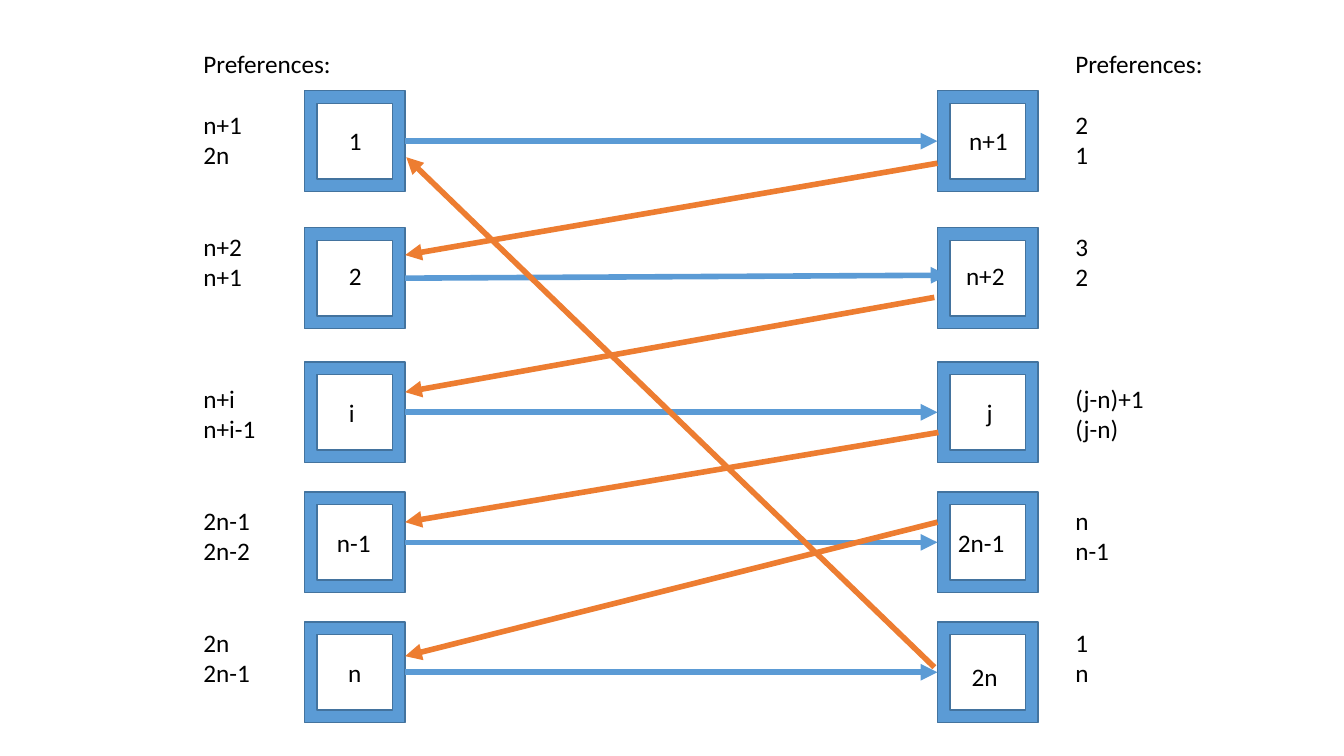
from lxml.etree import SubElement
from pptx import Presentation
from pptx.dml.color import RGBColor
from pptx.enum.shapes import MSO_CONNECTOR, MSO_SHAPE
from pptx.enum.text import MSO_AUTO_SIZE, PP_ALIGN
from pptx.oxml.ns import qn
from pptx.util import Pt

BLUE, EDGE, ORANGE, BLACK = "5B9BD5", "43739E", "ED7D31", "000000"
FRAME_SIZE = 72
LINE_PITCH = 21.9
LABEL_WIDTH, LABEL_HEIGHT = 50, 29
FRAME_TOPS = [64.8, 162.7, 258.5, 351.4, 444.2]

# Per side: frame left, preferences left, (label, centre x, top) from top to bottom
LEFT_SIDE = {
    "frame_left": 217.4,
    "preferences_left": 138.2,
    "labels": [("1", 253.8, 85.7), ("2", 253.8, 182.2), ("i", 251.3, 280.1),
               ("n-1", 252.7, 373), ("n", 253.4, 465.8)],
    "preferences": [("n+1", "2n"), ("n+2", "n+1"), ("n+i", "n+i-1"),
                    ("2n-1", "2n-2"), ("2n", "2n-1")],
}
RIGHT_SIDE = {
    "frame_left": 669.6,
    "preferences_left": 761,
    "labels": [("n+1", 706, 85.7), ("n+2", 703.8, 182.2), ("j", 707, 280.1),
               ("2n-1", 700.9, 373), ("2n", 703.4, 468.7)],
    "preferences": [("2", "1"), ("3", "2"), ("(j-n)+1", "(j-n)"),
                    ("n", "n-1"), ("1", "n")],
}
BLANK_LINES = [1, 2, 3, 2, 2]  # empty line heights above each preference pair

# Start and end of each arrow back to the left side
RETURN_ARROWS = [
    ((669.6, 116.6), (289.4, 182.2)),
    ((667.4, 212.4), (289.4, 280.1)),
    ((670.3, 308.9), (289.4, 373)),
    ((669.6, 373), (289.4, 468.7)),
    ((667.4, 476.6), (290.2, 112.3)),
]
SECOND_ROW_END = (676.8, 196.6)  # this arrow runs slightly into its frame


def rgb(value):
    return RGBColor.from_string(value)


def add_frame(slide, left, top):
    shape = slide.shapes.add_shape(MSO_SHAPE.FRAME, Pt(left), Pt(top),
                                   Pt(FRAME_SIZE), Pt(FRAME_SIZE))
    shape.shadow.inherit = False
    shape.fill.solid()
    shape.fill.fore_color.rgb = rgb(BLUE)
    shape.line.color.rgb = rgb(EDGE)
    shape.line.width = Pt(1)
    return shape


def add_text(slide, text, left, top, width, height):
    box = slide.shapes.add_textbox(Pt(left), Pt(top), Pt(width), Pt(height))
    frame = box.text_frame
    frame.text = text
    frame.word_wrap = False
    frame.auto_size = MSO_AUTO_SIZE.SHAPE_TO_FIT_TEXT
    for paragraph in frame.paragraphs:
        for run in paragraph.runs:
            run.font.name = "Calibri"
            run.font.size = Pt(18)
            run.font.color.rgb = rgb(BLACK)
    return frame


def add_arrow(slide, start, end, color):
    arrow = slide.shapes.add_connector(MSO_CONNECTOR.STRAIGHT,
                                       *map(Pt, start + end))
    arrow.line.color.rgb = rgb(color)
    arrow.line.width = Pt(4)
    SubElement(arrow.line._get_or_add_ln(), qn("a:tailEnd"), type="triangle")
    SubElement(arrow._element.spPr, qn("a:effectLst"))
    return arrow


def add_side(slide, side):
    """Draw one column of labelled frames with its preferences; return the frames."""
    frames = [add_frame(slide, side["frame_left"], top) for top in FRAME_TOPS]
    for label, center, top in side["labels"]:
        text_frame = add_text(slide, label, center - LABEL_WIDTH / 2, top,
                              LABEL_WIDTH, LABEL_HEIGHT)
        text_frame.paragraphs[0].alignment = PP_ALIGN.CENTER

    lines = ["Preferences:"]
    for pair in side["preferences"]:
        lines.extend(pair)
    text_frame = add_text(slide, "\n".join(lines), side["preferences_left"], 31,
                          106.6, 465)
    for paragraph, blanks in zip(text_frame.paragraphs[1::2], BLANK_LINES):
        paragraph.space_before = Pt(blanks * LINE_PITCH)
    return frames


def main():
    presentation = Presentation()
    presentation.slide_width, presentation.slide_height = Pt(960), Pt(540)
    slide = presentation.slides.add_slide(presentation.slide_layouts[6])

    left_frames = add_side(slide, LEFT_SIDE)
    right_frames = add_side(slide, RIGHT_SIDE)

    for row, (left, right) in enumerate(zip(left_frames, right_frames)):
        middle = FRAME_TOPS[row] + FRAME_SIZE / 2
        start = (LEFT_SIDE["frame_left"] + FRAME_SIZE, middle)
        end = SECOND_ROW_END if row == 1 else (RIGHT_SIDE["frame_left"], middle)
        arrow = add_arrow(slide, start, end, BLUE)
        arrow.begin_connect(left, 3)
        if row != 1:
            arrow.end_connect(right, 1)

    for start, end in RETURN_ARROWS:
        add_arrow(slide, start, end, ORANGE)

    presentation.save("out.pptx")


if __name__ == "__main__":
    main()
